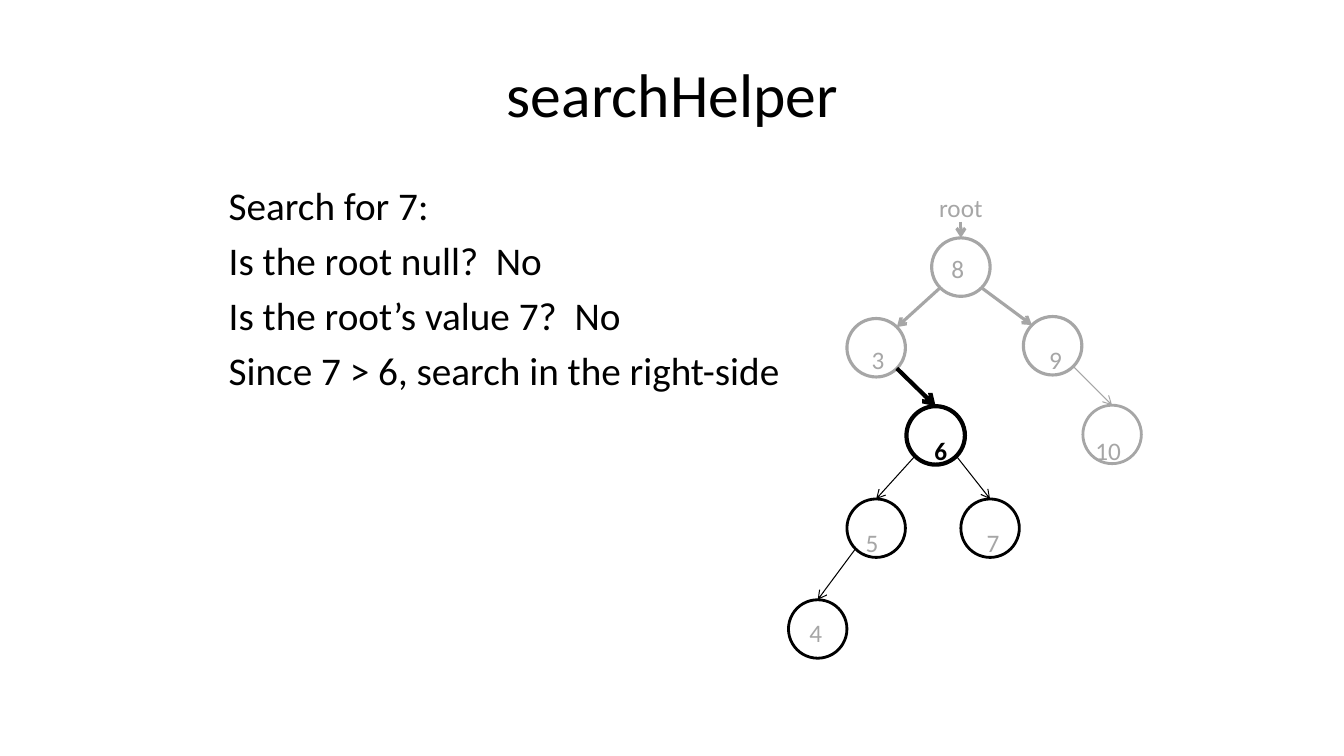
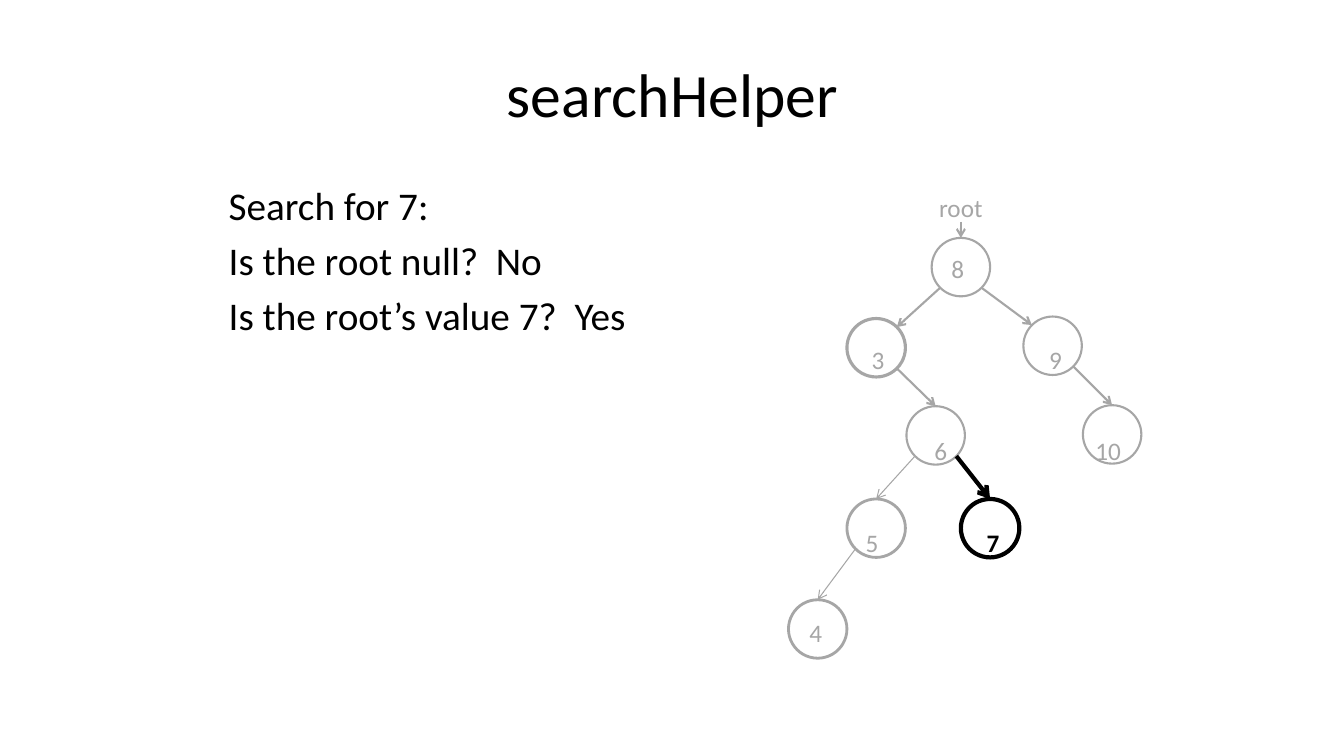
from math import sqrt
from lxml.etree import SubElement
from pptx import Presentation
from pptx.dml.color import RGBColor
from pptx.enum.shapes import MSO_CONNECTOR, MSO_SHAPE
from pptx.enum.text import MSO_ANCHOR, PP_ALIGN
from pptx.oxml.ns import qn
from pptx.util import Inches, Pt

BLACK = "000000"
GREY = "A6A6A6"
FONT = "Calibri"
TITLE = "searchHelper"

CENTRES = {
    "8": (9.53, 2.65),
    "3": (8.69, 3.45),
    "9": (10.44, 3.43),
    "6": (9.28, 4.32),
    "5": (8.69, 5.24),
    "7": (9.82, 5.24),
    "10": (11.03, 4.31),
    "4": (8.11, 6.24),
}
LABELS = {
    "root": (9.53, 2.06),
    "8": (9.5, 2.66),
    "3": (8.71, 3.57),
    "9": (10.47, 3.57),
    "6": (9.33, 4.47),
    "10": (10.99, 4.47),
    "5": (8.65, 5.38),
    "7": (9.85, 5.38),
    "4": (8.09, 6.27),
}
PARENTS = {"3": "8", "9": "8", "6": "3", "10": "9", "7": "6", "5": "6", "4": "5"}
SIDE_ENTRY = ("3", "9")
ROOT_ARROW_TOP = 2.2
RADIUS = 0.29
DIAGONAL = RADIUS * sqrt(0.5)
LABEL_SIZE = (0.6, 0.3)

SLIDES = [
    {
        "lines": [
            "Search for 7:",
            "Is the root null?  No",
            "Is the root’s value 7?  No",
            "Since 7 > 6, search in the right-side",
        ],
        "current": "6",
        "node_lines": {
            "8": (GREY, 2.25), "3": (GREY, 2.25), "9": (GREY, 2.25), "6": (BLACK, 3),
            "5": (BLACK, 2), "7": (BLACK, 2), "10": (GREY, 2), "4": (BLACK, 2),
        },
        "arrow_lines": {
            "8": (GREY, 2.25), "3": (GREY, 2.25), "9": (GREY, 2.25), "6": (BLACK, 3),
            "5": (BLACK, 0.75), "7": (BLACK, 0.75), "10": (GREY, 0.75), "4": (BLACK, 0.75),
        },
    },
    {
        "lines": [
            "Search for 7:",
            "Is the root null?  No",
            "Is the root’s value 7?  Yes",
        ],
        "current": "7",
        "node_lines": {
            "8": (GREY, 1.5), "3": (GREY, 2.25), "9": (GREY, 1.5), "6": (GREY, 1.5),
            "5": (GREY, 2), "7": (BLACK, 3), "10": (GREY, 1.5), "4": (GREY, 2),
        },
        "arrow_lines": {
            "8": (GREY, 1.5), "3": (GREY, 1.5), "9": (GREY, 1.5), "6": (GREY, 1.5),
            "5": (GREY, 0.75), "7": (BLACK, 3), "10": (GREY, 1.5), "4": (GREY, 0.75),
        },
    },
]


def colour(value):
    return RGBColor.from_string(value)


def apply(target, values):
    for name, value in values.items():
        setattr(target, name, value)


def set_line(shape, style):
    shape.line.color.rgb = colour(style[0])
    shape.line.width = Pt(style[1])


def add_text(page, place, lines, size, ink=BLACK, bold=False, frame=None, paragraph=None):
    box = page.shapes.add_textbox(*map(Inches, place))
    apply(box.text_frame, {"word_wrap": True, **(frame or {})})
    for index, line in enumerate(lines):
        para = box.text_frame.paragraphs[0] if index == 0 else box.text_frame.add_paragraph()
        apply(para, paragraph or {})
        if index:
            para.space_before = Pt(size * 0.2)
        span = para.add_run()
        span.text = line
        apply(span.font, {"name": FONT, "size": Pt(size), "bold": bold})
        span.font.color.rgb = colour(ink)


def add_title(page):
    add_text(page, (0.67, 0.3, 12, 1.25), [TITLE], 44,
             frame={"vertical_anchor": MSO_ANCHOR.MIDDLE},
             paragraph={"alignment": PP_ALIGN.CENTER})


def add_node(page, value, style):
    x, y = CENTRES[value]
    place = (x - RADIUS, y - RADIUS, 2 * RADIUS, 2 * RADIUS)
    circle = page.shapes.add_shape(MSO_SHAPE.OVAL, *map(Inches, place))
    circle.shadow.inherit = False
    circle.fill.background()
    set_line(circle, style)
    return circle


def add_arrow(page, child, circle, style):
    x, y = CENTRES[child]
    start, end = (x, ROOT_ARROW_TOP), (x, y - RADIUS)
    if child in PARENTS:
        parent_x, parent_y = CENTRES[PARENTS[child]]
        side = 1 if x > parent_x else -1
        start = (parent_x + side * DIAGONAL, parent_y + DIAGONAL)
        if child in SIDE_ENTRY:
            end = (x - side * DIAGONAL, y - DIAGONAL)
    arrow = page.shapes.add_connector(MSO_CONNECTOR.STRAIGHT, *map(Inches, start + end))
    if child not in SIDE_ENTRY:
        arrow.end_connect(circle, 0)
    set_line(arrow, style)
    SubElement(arrow.get_or_add_ln(), qn("a:tailEnd"), type="arrow")
    SubElement(arrow.element.spPr, qn("a:effectLst"))


def add_label(page, label, current):
    x, y = LABELS[label]
    width, height = LABEL_SIZE
    active = label == current
    margins = ("margin_left", "margin_right", "margin_top", "margin_bottom")
    add_text(page, (x - width / 2, y - height / 2, width, height), [label], 18,
             BLACK if active else GREY, active,
             {"vertical_anchor": MSO_ANCHOR.MIDDLE, **dict.fromkeys(margins, 0)},
             {"alignment": PP_ALIGN.CENTER})


def add_tree(page, content):
    circles = {value: add_node(page, value, style)
               for value, style in content["node_lines"].items()}
    for child, style in content["arrow_lines"].items():
        add_arrow(page, child, circles[child], style)
    for label in LABELS:
        add_label(page, label, content["current"])


def main():
    deck = Presentation()
    apply(deck, {"slide_width": Inches(13.33), "slide_height": Inches(7.5)})
    for content in SLIDES:
        page = deck.slides.add_slide(deck.slide_layouts[6])
        add_title(page)
        add_text(page, (2.17, 1.75, 5.94, 5), content["lines"], 28)
        add_tree(page, content)
    deck.save("out.pptx")


if __name__ == "__main__":
    main()
